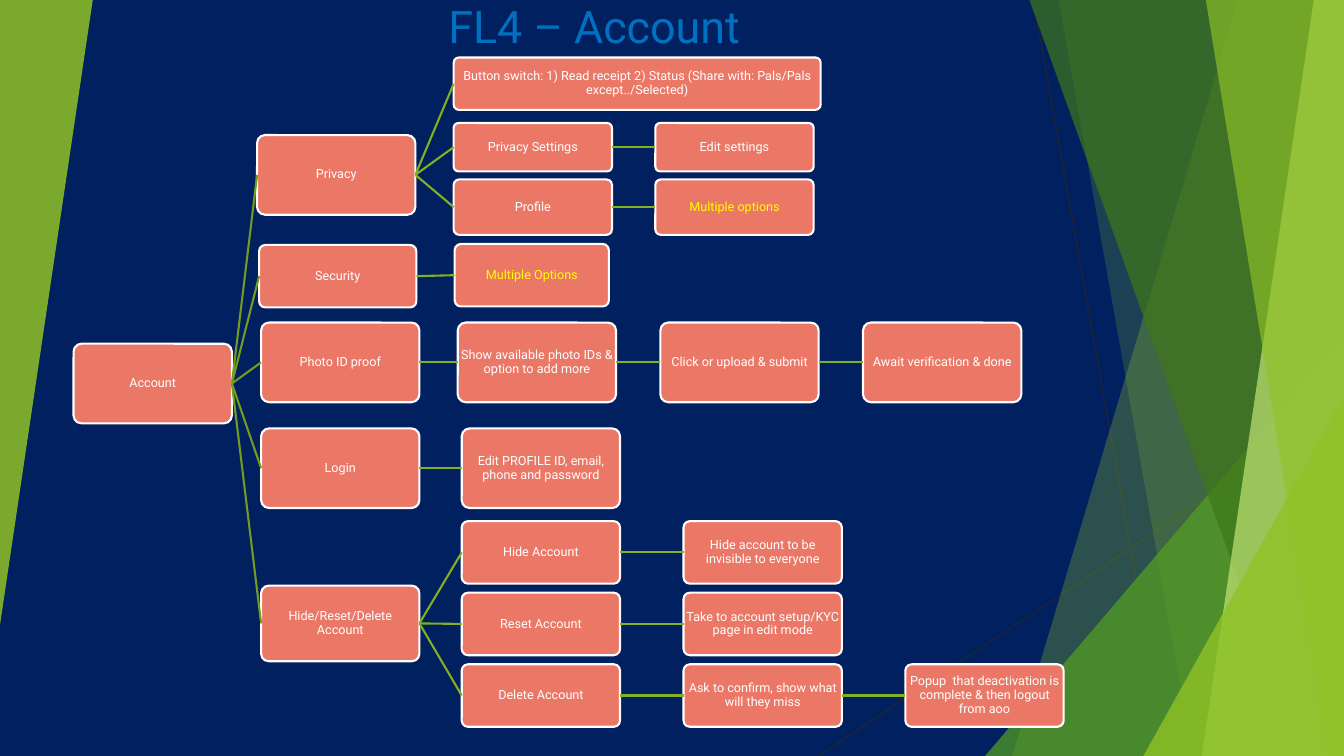
from collections import namedtuple

from lxml.etree import SubElement
from pptx import Presentation
from pptx.dml.color import RGBColor
from pptx.enum.shapes import MSO_CONNECTOR, MSO_SHAPE
from pptx.enum.text import MSO_ANCHOR, MSO_AUTO_SIZE, PP_ALIGN
from pptx.oxml.ns import qn
from pptx.util import Inches, Pt

COLOURS = {
    "background": "002060", "title": "0070C0", "box": "EB7766",
    "outline": "FFFFFF", "text": "FFFFFF", "options": "FFFF00",
    "stem": "739B1E", "twig": "83B022", "hairline": "262626",
    "lime": "90C226", "green": "54A021", "forest": "3F7819", "pale": "C0E474",
}
FONT = "Roboto"
STEP_WIDTH = 1.57
OPTION_STEPS = ("Multiple options", "Multiple Options")

Box = namedtuple("Box", "left top width height")
Chain = namedtuple("Chain", "drop height width steps")
Branch = namedtuple("Branch", "label box first_gap next_gap chains")

BRANCHES = [
    Branch("Privacy", Box(2.55, 1.34, 1.57, 0.79), 0.38, 0.43, [
        Chain(-0.77, 0.52, 3.64, [
            "Button switch: 1) Read receipt 2) Status "
            "(Share with: Pals/Pals except../Selected)"]),
        Chain(-0.12, 0.48, STEP_WIDTH, ["Privacy Settings", "Edit settings"]),
        Chain(0.44, 0.55, STEP_WIDTH, ["Profile", "Multiple options"]),
    ]),
    Branch("Security", Box(2.57, 2.43, 1.56, 0.62), 0.38, 0.43, [
        Chain(-0.01, 0.62, 1.53, ["Multiple Options"]),
    ]),
    Branch("Photo ID proof", Box(2.59, 3.2, 1.57, 0.79), 0.38, 0.44, [
        Chain(0, 0.79, STEP_WIDTH, [
            "Show available photo IDs & option to add more",
            "Click or upload & submit", "Await verification & done"]),
    ]),
    Branch("Login", Box(2.59, 4.25, 1.57, 0.79), 0.42, 0.43, [
        Chain(0, 0.79, STEP_WIDTH,
              ["Edit PROFILE ID, email, phone and password"]),
    ]),
    Branch("Hide/Reset/Delete Account", Box(2.59, 5.81, 1.57, 0.75), 0.42, 0.63, [
        Chain(-0.64, 0.62, STEP_WIDTH,
              ["Hide Account", "Hide account to be invisible to everyone"]),
        Chain(0.07, 0.62, STEP_WIDTH,
              ["Reset Account", "Take to account setup/KYC page in edit mode"]),
        Chain(0.78, 0.62, STEP_WIDTH, [
            "Delete Account", "Ask to confirm, show what will they miss",
            "Popup  that deactivation is complete & then logout from aoo"]),
    ]),
]


def rgb(name):
    """Return the named colour."""
    return RGBColor.from_string(COLOURS[name])


def style_line(connector, colour, width):
    """Colour a connector and take away its shadow."""
    connector.line.color.rgb = rgb(colour)
    connector.line.width = Pt(width)
    SubElement(connector.element.spPr, qn("a:effectLst"))


def style_facet(facet, colour, opacity):
    """Give a facet a see-through fill without outline or shadow."""
    facet.shadow.inherit = False
    facet.fill.solid()
    facet.fill.fore_color.rgb = rgb(colour)
    facet.line.fill.background()
    tint = facet.element.spPr.find(qn("a:solidFill"))[0]
    SubElement(tint, qn("a:alpha")).set("val", str(opacity * 1000))


def add_hairline(slide, box, start, end):
    """Draw a thin line between two points of the box."""
    (x1, y1), (x2, y2) = start, end
    hairline = slide.shapes.add_connector(
        MSO_CONNECTOR.STRAIGHT, Inches(box.left + x1), Inches(box.top + y1),
        Inches(box.left + x2), Inches(box.top + y2))
    style_line(hairline, "hairline", 0.75)


def add_band(slide, box, top_x, bottom_x, colour, opacity):
    """Fill the box to the right of a slanted edge."""
    corners = [(box.width, 0), (box.width, box.height), (bottom_x, box.height)]
    builder = slide.shapes.build_freeform(
        Inches(box.left + top_x), Inches(box.top))
    builder.add_line_segments(
        [(Inches(box.left + x), Inches(box.top + y)) for x, y in corners])
    style_facet(builder.convert_to_shape(), colour, opacity)


def add_wedge(slide, box, colour, opacity, rotation=0):
    """Fill the box with a triangle whose tip is at its right."""
    wedge = slide.shapes.add_shape(
        MSO_SHAPE.ISOSCELES_TRIANGLE, *(Inches(length) for length in box))
    wedge.adjustments[0] = 1
    wedge.rotation = rotation
    style_facet(wedge, colour, opacity)


def add_right_facets(slide, box):
    """Layer the green facets along the right side of the box."""
    def corner(x, y):
        return Box(box.left + x, box.top + y, box.width - x, box.height - y)

    add_hairline(slide, box, (2.13, 0), (3.46, box.height))
    add_hairline(slide, box, (box.width, 4.03), (0, box.height))
    add_band(slide, box, 4.16, 1.92, "lime", 30)
    add_band(slide, box, 2.38, 3.71, "lime", 20)
    add_wedge(slide, corner(1.65, 3.33), "green", 72)
    add_band(slide, box, 2.09, 4.79, "forest", 70)
    add_band(slide, box, 4.91, 3.8, "pale", 70)
    add_band(slide, box, 3.84, 5.06, "lime", 65)
    add_wedge(slide, corner(3.22, 3.93), "lime", 80)


def add_title(slide, box):
    """Place and format the slide title."""
    title = slide.shapes.title
    title.left, title.top, title.width, title.height = map(Inches, box)
    frame = title.text_frame
    frame.text = "FL4 – Account"
    frame.auto_size = MSO_AUTO_SIZE.NONE
    frame.vertical_anchor = MSO_ANCHOR.BOTTOM
    heading = frame.paragraphs[0]
    heading.alignment = PP_ALIGN.CENTER
    heading.font.name = FONT
    heading.font.size = Pt(32)
    heading.font.color.rgb = rgb("title")


def add_step(slide, box, label):
    """Draw one labelled step of the flow."""
    step = slide.shapes.add_shape(
        MSO_SHAPE.ROUNDED_RECTANGLE, *(Inches(length) for length in box))
    step.adjustments[0] = 0.1
    step.shadow.inherit = False
    step.fill.solid()
    step.fill.fore_color.rgb = rgb("box")
    step.line.color.rgb = rgb("outline")
    step.line.width = Pt(1.5)
    frame = step.text_frame
    frame.text = label
    frame.word_wrap = True
    frame.vertical_anchor = MSO_ANCHOR.MIDDLE
    frame.margin_left = frame.margin_right = Inches(0.01)
    frame.margin_top = frame.margin_bottom = Inches(0.01)
    caption = frame.paragraphs[0]
    caption.alignment = PP_ALIGN.CENTER
    caption.line_spacing = 0.9
    caption.font.name = FONT
    caption.font.size = Pt(9)
    caption.font.color.rgb = rgb("options" if label in OPTION_STEPS else "text")
    return step


def join(slide, parent, child, colour):
    """Link the right side of one step to the left side of the next."""
    link = slide.shapes.add_connector(MSO_CONNECTOR.STRAIGHT, 0, 0, 0, 0)
    link.begin_connect(parent, 3)
    link.end_connect(child, 1)
    style_line(link, colour, 1.5)


def add_branch(slide, root, branch):
    """Draw a branch and its chains of steps, placed from the branch's box."""
    box = branch.box
    head = add_step(slide, box, branch.label)
    join(slide, root, head, "stem")
    for chain in branch.chains:
        previous = head
        left = box.left + box.width + branch.first_gap
        for label in chain.steps:
            step = add_step(
                slide, Box(left, box.top + chain.drop, chain.width, chain.height), label)
            join(slide, previous, step, "twig")
            previous = step
            left += chain.width + branch.next_gap


def main():
    """Build the account flow slide."""
    deck = Presentation()
    deck.slide_width, deck.slide_height = Inches(13.33), Inches(7.5)
    slide = deck.slides.add_slide(deck.slide_layouts[5])
    slide.background.fill.solid()
    slide.background.fill.fore_color.rgb = rgb("background")
    add_right_facets(slide, Box(8.12, 0, 5.21, 7.5))
    add_wedge(slide, Box(0, 0, 0.92, 6.2), "lime", 85, rotation=180)
    add_title(slide, Box(1.65, 0.04, 8.49, 0.53))
    account = add_step(slide, Box(0.73, 3.41, STEP_WIDTH, 0.79), "Account")
    for branch in BRANCHES:
        add_branch(slide, account, branch)
    deck.save("out.pptx")


if __name__ == "__main__":
    main()
